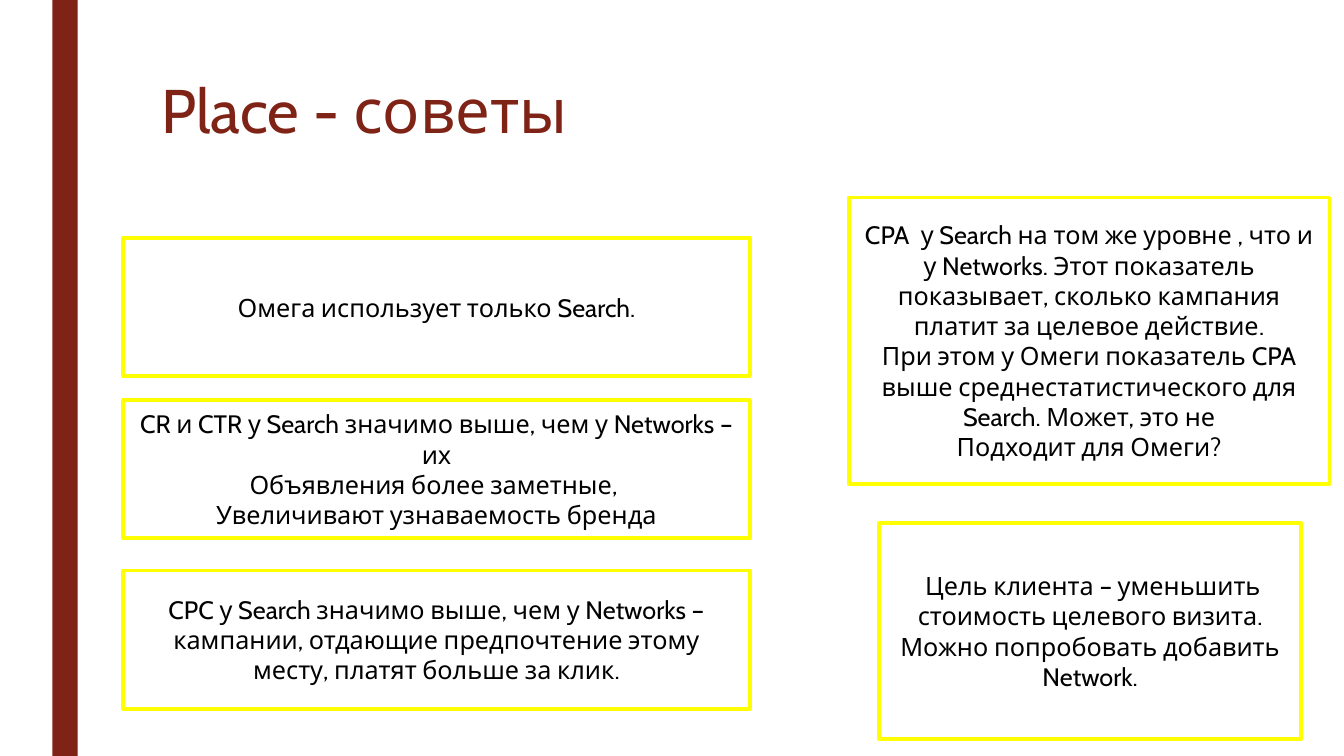
from pptx import Presentation
from pptx.dml.color import RGBColor
from pptx.enum.shapes import MSO_SHAPE
from pptx.enum.text import MSO_ANCHOR, PP_ALIGN
from pptx.util import Inches, Pt

RECT = MSO_SHAPE.RECTANGLE
MIDDLE, TOP = MSO_ANCHOR.MIDDLE, MSO_ANCHOR.TOP
CENTER, LEFT = PP_ALIGN.CENTER, PP_ALIGN.LEFT

WIDTH, HEIGHT = Inches(13.33), Inches(7.5)
COLS, ROWS = 100, 100
FONT = "Cabin"
COLORS = {"brick": "7E2316", "paper": "FFFFFF", "frame": "FFFF00", "ink": "000000"}

TIPS = [
    ["Омега использует только Search."],
    [
        "CR и CTR у Search значимо выше, чем у Networks – их",
        "Объявления более заметные, ",
        "Увеличивают узнаваемость бренда",
    ],
    [
        "CPC у Search значимо выше, чем у Networks – кампании, отдающие "
        "предпочтение этому месту, платят больше за клик."
    ],
]
TIP_ROWS = [31.47, 52.93, 75.47]
COST = [
    "CPA  у Search на том же уровне , что и у Networks. Этот показатель "
    "показывает, сколько кампания платит за целевое действие.",
    "При этом у Омеги показатель CPA выше среднестатистического для "
    "Search. Может, это не",
    "Подходит для Омеги?",
]
GOAL = [
    " Цель клиента – уменьшить стоимость целевого визита.",
    "Можно попробовать добавить Network.",
]


def color(name):
    return RGBColor.from_string(COLORS[name])


def place(col, row, cols, rows):
    return (
        round(WIDTH * col / COLS),
        round(HEIGHT * row / ROWS),
        round(WIDTH * cols / COLS),
        round(HEIGHT * rows / ROWS),
    )


def write(shape, lines, size, ink, align, anchor, spacing=None):
    frame = shape.text_frame
    frame.word_wrap = True
    frame.vertical_anchor = anchor
    for index, line in enumerate(lines):
        para = frame.add_paragraph() if index else frame.paragraphs[0]
        para.alignment = align
        para.line_spacing = spacing
        run = para.add_run()
        run.text = line
        run.font.name = FONT
        run.font.size = Pt(size)
        run.font.color.rgb = color(ink)


def add_rect(slide, area, fill):
    shape = slide.shapes.add_shape(RECT, *place(*area))
    shape.shadow.inherit = False
    shape.fill.solid()
    shape.fill.fore_color.rgb = color(fill)
    shape.line.fill.background()
    return shape


def add_title(slide, area, text):
    box = slide.shapes.add_textbox(*place(*area))
    write(box, [text], 44, "brick", LEFT, TOP, 0.89)


def add_card(slide, area, lines):
    card = add_rect(slide, area, "paper")
    card.line.color.rgb = color("frame")
    card.line.width = Pt(2.75)
    write(card, lines, 18, "ink", CENTER, MIDDLE)


def main():
    deck = Presentation()
    deck.slide_width, deck.slide_height = WIDTH, HEIGHT
    slide = deck.slides.add_slide(deck.slide_layouts[6])
    add_rect(slide, (3.9, 0, 1.88, ROWS), "brick")
    add_title(slide, (11.25, 10, 78.75, 21.6), "Place - советы")
    for row, lines in zip(TIP_ROWS, TIPS):
        add_card(slide, (9.15, row, 46.65, 18.27), lines)
    add_card(slide, (63.15, 26.13, 35.78, 37.87), COST)
    add_card(slide, (65.4, 69.2, 31.43, 28.53), GOAL)
    deck.save("out.pptx")


if __name__ == "__main__":
    main()
